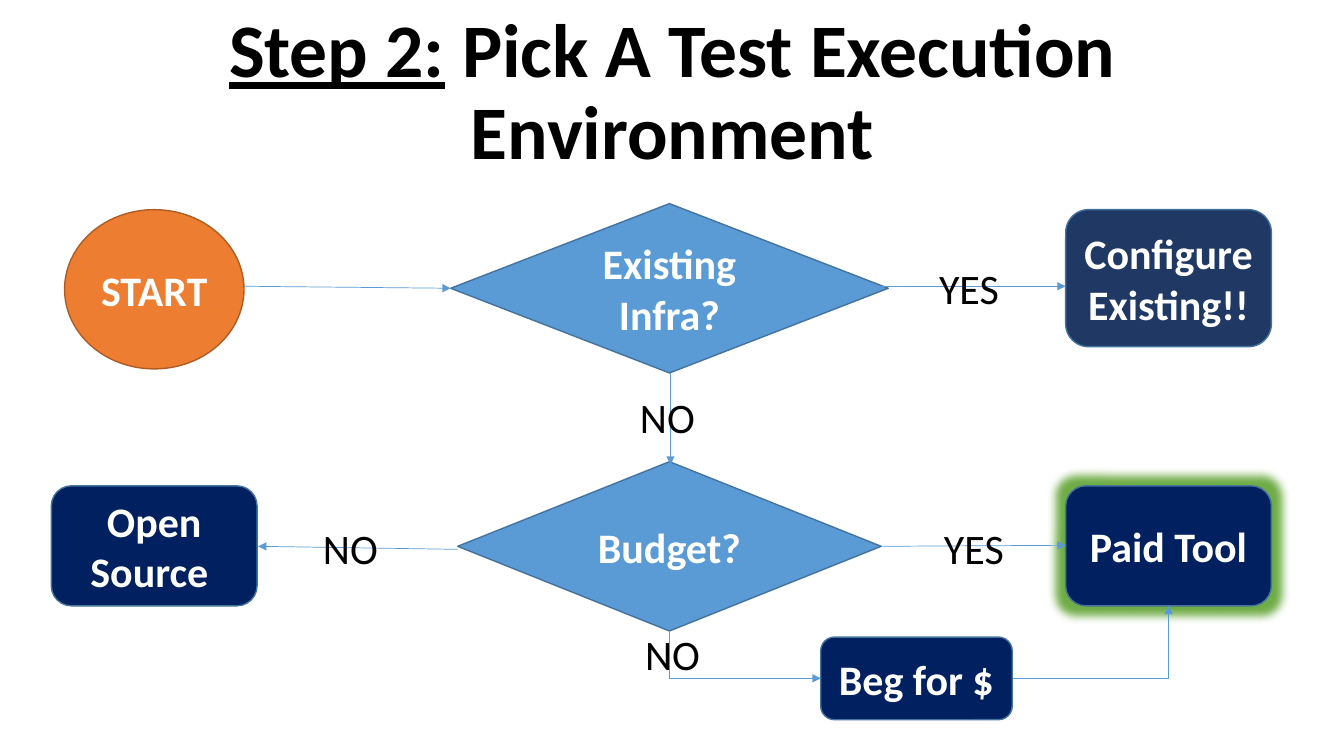
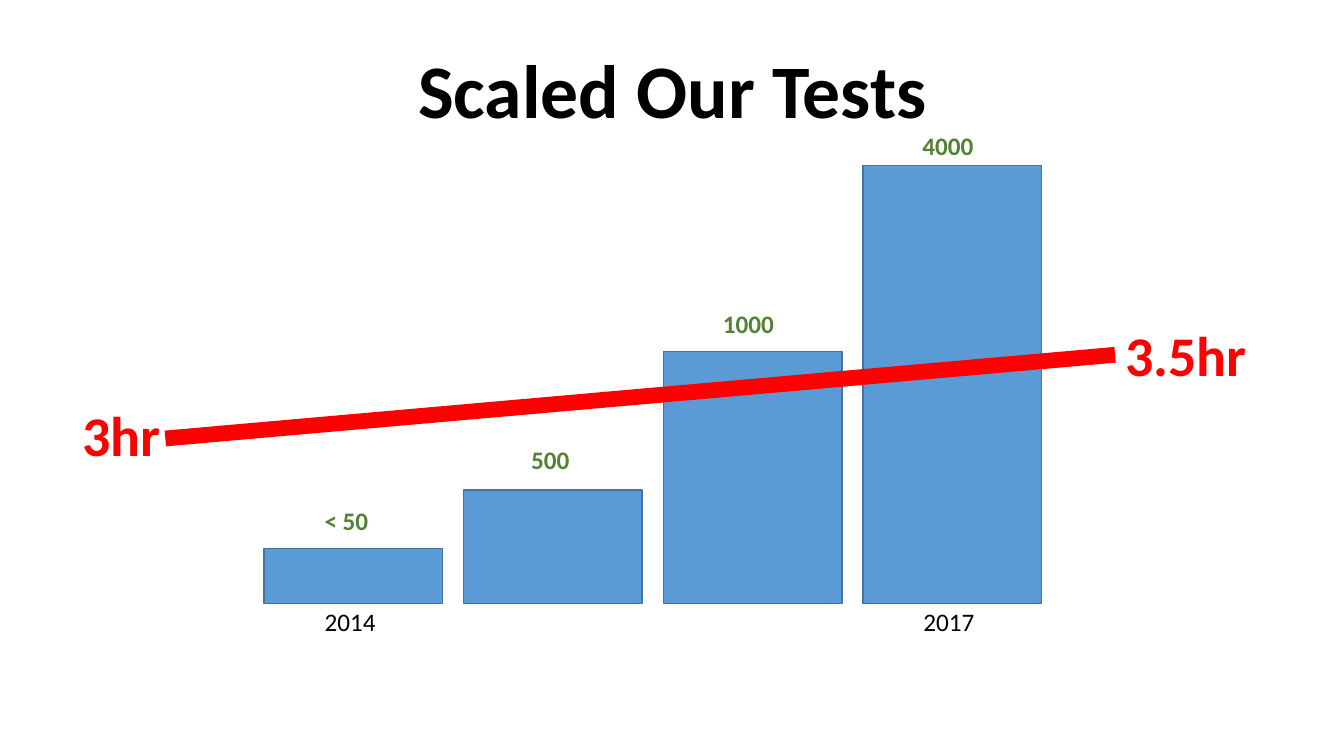
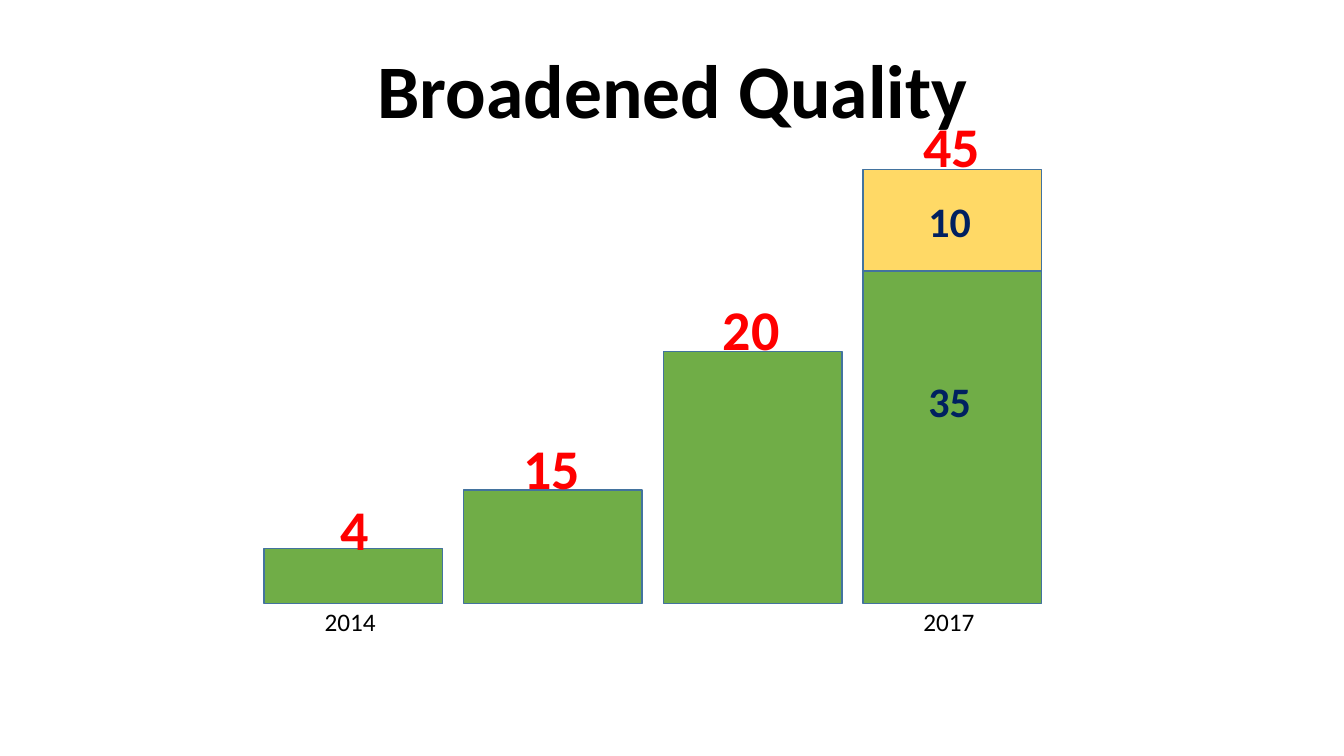
from lxml import etree
from pptx import Presentation
from pptx import util as u
from pptx.dml.color import RGBColor
from pptx.enum import shapes, text
from pptx.oxml.ns import qn

PX = u.Inches(1) // 100
SLIDE_SIZE = (1333, 750)
FONT = "Calibri"

BLACK = RGBColor(0x00, 0x00, 0x00)
WHITE = RGBColor(0xFF, 0xFF, 0xFF)
BLUE = RGBColor(0x5B, 0x9B, 0xD5)
BLUE_EDGE = RGBColor(0x43, 0x73, 0x9E)
NAVY = RGBColor(0x00, 0x20, 0x60)
SLATE = RGBColor(0x20, 0x38, 0x64)
ORANGE = RGBColor(0xED, 0x7D, 0x31)
ORANGE_EDGE = RGBColor(0xAF, 0x5C, 0x24)
GREEN = RGBColor(0x70, 0xAD, 0x47)
DARK_GREEN = RGBColor(0x54, 0x82, 0x35)
YELLOW = RGBColor(0xFF, 0xD9, 0x66)
RED = RGBColor(0xFF, 0x00, 0x00)

DIAMOND = shapes.MSO_SHAPE.DIAMOND
ROUNDED = shapes.MSO_SHAPE.ROUNDED_RECTANGLE
OVAL = shapes.MSO_SHAPE.OVAL
RECTANGLE = shapes.MSO_SHAPE.RECTANGLE
CENTER = text.PP_ALIGN.CENTER
LEFT = text.PP_ALIGN.LEFT

LABEL_HEIGHTS = {18: 40, 30: 61, 40: 77}
BAR_LEFT, BAR_PITCH, BAR_WIDTH, BASELINE = 262, 198, 177, 599
YEAR_TOP = 597


def scaled(*lengths):
    return [length * PX for length in lengths]


def style_paragraph(paragraph, size, color, bold=False, align=CENTER):
    paragraph.alignment = align
    font = paragraph.font
    font.name, font.size, font.bold = FONT, u.Pt(size), bold
    font.color.rgb = color


def add_titled_slide(presentation, title, underlined=""):
    """Add a slide whose title may open with an underlined part."""
    slide = presentation.slides.add_slide(presentation.slide_layouts[5])
    shape = slide.shapes.title
    shape.left, shape.top, shape.width, shape.height = scaled(92, 21, 1150, 145)
    frame = shape.text_frame
    frame.auto_size = text.MSO_AUTO_SIZE.NONE
    frame.vertical_anchor = text.MSO_ANCHOR.MIDDLE
    paragraph = frame.paragraphs[0]
    paragraph.line_spacing = 0.9
    style_paragraph(paragraph, 54, BLACK, bold=True)
    if underlined:
        run = paragraph.add_run()
        run.text = underlined
        run.font.underline = True
    paragraph.add_run().text = title
    return slide


def add_block(slide, kind, box, fill, edge=BLUE_EDGE, caption=""):
    shape = slide.shapes.add_shape(kind, *scaled(*box))
    shape.shadow.inherit = False
    shape.fill.solid()
    shape.fill.fore_color.rgb = fill
    shape.line.color.rgb = edge
    shape.line.width = u.Pt(1)
    if caption:
        frame = shape.text_frame
        frame.word_wrap = True
        frame.vertical_anchor = text.MSO_ANCHOR.MIDDLE
        frame.text = caption
        style_paragraph(frame.paragraphs[0], 30, WHITE, bold=True)
    return shape


def add_glow(shape, color, radius):
    effects = shape.element.spPr.find(qn("a:effectLst"))
    glow = etree.SubElement(effects, qn("a:glow"), rad=str(u.Pt(radius)))
    etree.SubElement(glow, qn("a:srgbClr"), val=str(color))


def add_label(slide, caption, left, top, width, size, color, bold=True, align=LEFT):
    box = slide.shapes.add_textbox(*scaled(left, top, width, LABEL_HEIGHTS[size]))
    frame = box.text_frame
    frame.word_wrap = True
    frame.auto_size = text.MSO_AUTO_SIZE.SHAPE_TO_FIT_TEXT
    frame.text = caption
    style_paragraph(frame.paragraphs[0], size, color, bold, align)


def add_line(slide, ends, color=BLUE, width=0.5, arrow=None, bent=False):
    """Draw a line; arrow is "tailEnd" (at the end) or "headEnd" (at the start)."""
    kind = shapes.MSO_CONNECTOR.ELBOW if bent else shapes.MSO_CONNECTOR.STRAIGHT
    connector = slide.shapes.add_connector(kind, *scaled(*ends))
    connector.line.color.rgb = color
    connector.line.width = u.Pt(width)
    properties = connector.element.spPr
    if bent:
        properties.find(qn("a:prstGeom")).set("prst", "bentConnector2")
    if arrow:
        etree.SubElement(properties.find(qn("a:ln")), qn(f"a:{arrow}"), type="triangle")
    etree.SubElement(properties, qn("a:effectLst"))


def bar_left(index):
    return BAR_LEFT + index * BAR_PITCH


def add_bar(slide, index, top, fill, bottom=BASELINE):
    add_block(slide, RECTANGLE, (bar_left(index), top, BAR_WIDTH, bottom - top), fill)


def add_years(slide):
    for index, year in ((0, "2014"), (3, "2017")):
        add_label(slide, year, bar_left(index) + 50, YEAR_TOP, 132, 18, BLACK, bold=False)


def build_environment_slide(presentation):
    slide = add_titled_slide(presentation, " Pick A Test Execution Environment", "Step 2:")
    blocks = (
        (OVAL, (64, 208, 178, 158), ORANGE, ORANGE_EDGE, "START"),
        (DIAMOND, (447, 202, 434, 168), BLUE, BLUE_EDGE, "Existing Infra?"),
        (DIAMOND, (454, 458, 420, 168), BLUE, BLUE_EDGE, "Budget?"),
        (ROUNDED, (1057, 208, 204, 136), SLATE, BLUE_EDGE, "Configure Existing!!"),
        (ROUNDED, (51, 482, 204, 119), NAVY, BLUE_EDGE, "Open Source "),
        (ROUNDED, (814, 632, 190, 82), NAVY, BLUE_EDGE, "Beg for $"),
    )
    for block in blocks:
        add_block(slide, *block)
    paid_tool = add_block(slide, ROUNDED, (1057, 482, 204, 119), NAVY, caption="Paid Tool")
    add_glow(paid_tool, GREEN, 13)

    for ends in (
        (242, 284, 447, 286),
        (874, 284, 1057, 284),
        (665, 370, 665, 461),
        (874, 542, 1057, 541),
        (454, 545, 256, 542),
    ):
        add_line(slide, ends, arrow="tailEnd")
    add_line(slide, (1005, 673, 1159, 601), arrow="tailEnd", bent=True)
    add_line(slide, (814, 673, 664, 626), arrow="headEnd", bent=True)

    for answer, left, top, width in (
        ("YES", 917, 256, 88),
        ("NO", 610, 383, 104),
        ("YES", 926, 513, 80),
        ("NO", 297, 513, 101),
        ("NO", 615, 619, 104),
    ):
        add_label(slide, answer, left, top, width, 30, BLACK, bold=False, align=CENTER)


def build_tests_slide(presentation):
    slide = add_titled_slide(presentation, "Scaled Our Tests")
    bars = (
        ("< 50", 544, 312, 496),
        ("500", 486, 517, 436),
        ("1000", 349, 707, 301),
        ("4000", 164, 905, 124),
    )
    for index, (count, top, label_left, label_top) in enumerate(bars):
        add_bar(slide, index, top, BLUE)
        add_label(slide, count, label_left, label_top, 132, 18, DARK_GREEN)
    add_line(slide, (164, 435, 1106, 352), RED, 11.25)
    add_label(slide, "3hr", 72, 392, 119, 40, RED)
    add_label(slide, "3.5hr", 1106, 313, 155, 40, RED)
    add_years(slide)


def build_quality_slide(presentation):
    slide = add_titled_slide(presentation, "Broadened Quality")
    bars = (
        ("4", 544, 328, 486),
        ("15", 486, 509, 425),
        ("20", 349, 707, 287),
        ("45", 269, 906, 106),
    )
    for index, (count, top, label_left, label_top) in enumerate(bars):
        add_bar(slide, index, top, GREEN)
        add_label(slide, count, label_left, label_top, 132, 40, RED)
    add_bar(slide, 3, 168, YELLOW, bottom=269)
    for part, top in (("10", 189), ("35", 368)):
        add_label(slide, part, 911, top, 88, 30, NAVY)
    add_years(slide)


def main():
    presentation = Presentation()
    presentation.slide_width, presentation.slide_height = scaled(*SLIDE_SIZE)
    build_environment_slide(presentation)
    build_tests_slide(presentation)
    build_quality_slide(presentation)
    presentation.save("out.pptx")


if __name__ == "__main__":
    main()
